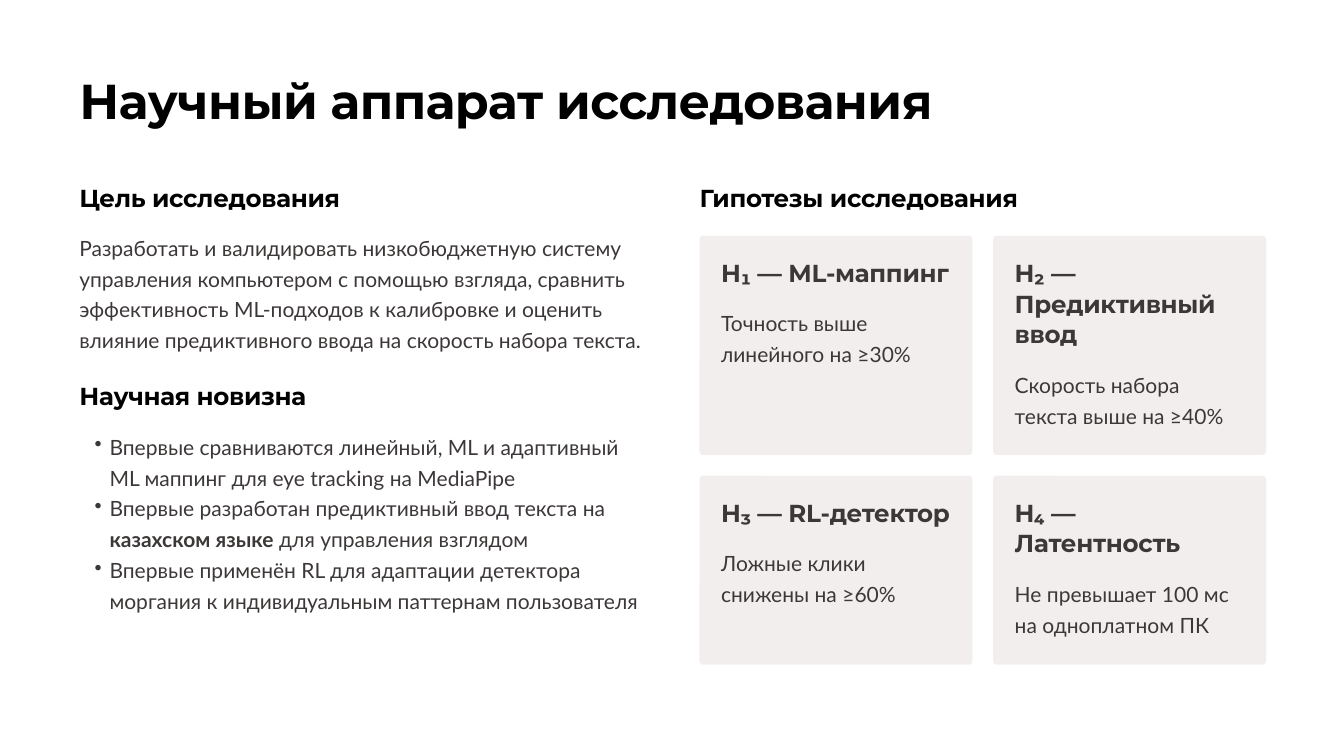
from pptx import Presentation
from pptx.util import Inches, Pt
from pptx.dml.color import RGBColor
from pptx.enum.shapes import MSO_SHAPE
from pptx.oxml.ns import qn
from lxml import etree

BLACK, GRAY, CARD = "000000", "3D3838", "F2EEEE"
TITLE = ("Montserrat", 52.5, 65.6, True, -50)
HEAD = ("Montserrat", 26.3, 32.8, True, -30)
BODY = ("Lato", 22.5, 33, False, 0)


def color(code):
    return RGBColor.from_string(code)


def write(left, top, width, height, style, ink, paras, bullet=False):
    """Add a text box; each paragraph is a list of runs, odd runs in bold."""
    name, size, pitch, bold, track = style
    box = slide.shapes.add_textbox(
        Inches(left), Inches(top), Inches(width), Inches(height))
    frame = box.text_frame
    frame.word_wrap = True
    frame.margin_left = frame.margin_right = 0
    frame.margin_top = frame.margin_bottom = 0
    for i, runs in enumerate(paras):
        para = frame.add_paragraph() if i else frame.paragraphs[0]
        para.line_spacing = Pt(pitch)
        if bullet:
            props = para._p.get_or_add_pPr()
            props.set("marL", str(Inches(0.45)))
            props.set("indent", str(Inches(-0.22)))
            etree.SubElement(props, qn("a:buChar")).set("char", "•")
        font = para.font
        font.name, font.size, font.bold = name, Pt(size), bold
        font.color.rgb = color(ink)
        font._element.set("spc", str(track))
        for j, text in enumerate(runs):
            run = para.add_run()
            run.text = text
            if j % 2:
                run.font.bold = True


deck = Presentation()
deck.slide_width, deck.slide_height = Inches(20), Inches(11.25)
slide = deck.slides.add_slide(deck.slide_layouts[6])

LEFT, RIGHT, WIDE = 1.18, 10.41, 8.43
write(LEFT, 1.01, 17.65, 0.94, TITLE, BLACK, [["Научный аппарат исследования"]])

for left, top, text in [
    (LEFT, 2.7, "Цель исследования"),
    (LEFT, 5.65, "Научная новизна"),
    (RIGHT, 2.7, "Гипотезы исследования"),
]:
    write(left, top, WIDE, 0.47, HEAD, BLACK, [[text]])

write(LEFT, 3.42, WIDE, 1.76, BODY, GRAY, [[
    "Разработать и валидировать низкобюджетную систему управления "
    "компьютером с помощью взгляда, сравнить эффективность ML-подходов "
    "к калибровке и оценить влияние предиктивного ввода на скорость "
    "набора текста."]])
write(LEFT, 6.38, WIDE, 3.1, BODY, GRAY, [
    ["Впервые сравниваются линейный, ML и адаптивный ML маппинг "
     "для eye tracking на MediaPipe"],
    ["Впервые разработан предиктивный ввод текста на ",
     "казахском языке", " для управления взглядом"],
    ["Впервые применён RL для адаптации детектора моргания "
     "к индивидуальным паттернам пользователя"],
], bullet=True)

# Hypothesis cards: heading, its line count, body
cards = [
    ("H₁ — ML-маппинг", 1, "Точность выше линейного на ≥30%"),
    ("H₂ — Предиктивный ввод", 3, "Скорость набора текста выше на ≥40%"),
    ("H₃ — RL-детектор", 1, "Ложные клики снижены на ≥60%"),
    ("H₄ — Латентность", 2, "Не превышает 100 мс на одноплатном ПК"),
]
rows = [(3.51, 3.26), (7.08, 2.81)]
SIDE, GAP, PAD, LINE = 4.06, 0.31, 0.32, 0.46
for i, (head, lines, body) in enumerate(cards):
    left = RIGHT + i % 2 * (SIDE + GAP)
    top, height = rows[i // 2]
    card = slide.shapes.add_shape(
        MSO_SHAPE.ROUNDED_RECTANGLE,
        Inches(left), Inches(top), Inches(SIDE), Inches(height))
    card.adjustments[0] = 0.05 / height
    card.shadow.inherit = False
    card.fill.solid()
    card.fill.fore_color.rgb = color(CARD)
    card.line.fill.background()
    inner = SIDE - 2 * PAD
    write(left + PAD, top + GAP, inner, lines * LINE, HEAD, GRAY, [[head]])
    write(left + PAD, top + GAP + lines * LINE + 0.26, inner, 0.99,
          BODY, GRAY, [[body]])

deck.save("out.pptx")
